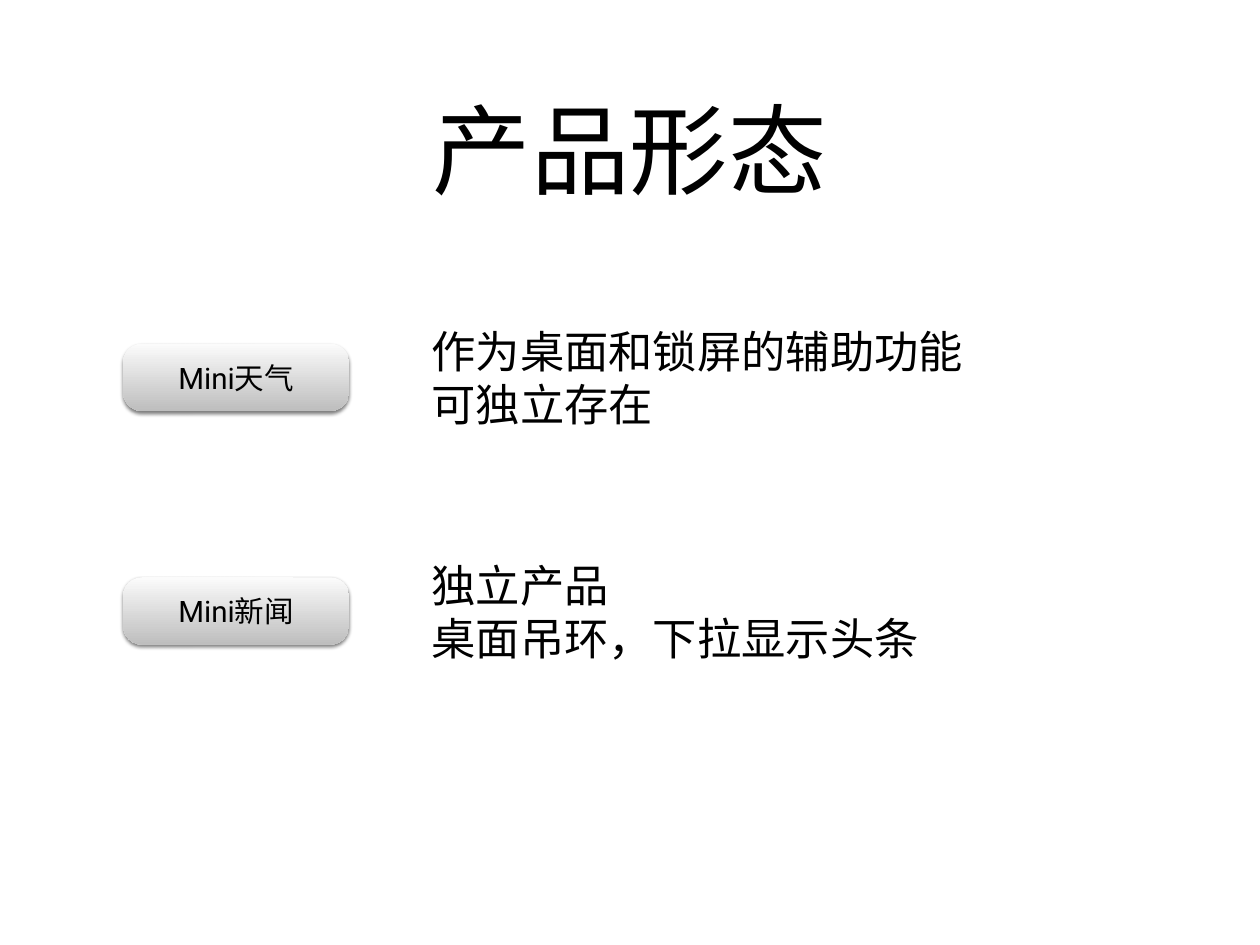
import pptx
import pptx.util
import pptx.dml.color
import pptx.enum.shapes
import pptx.enum.text
import pptx.oxml.ns
from lxml import etree
from pptx.util import Cm

# Content
TITLE = "产品形态"
PRODUCTS = [
    ("Mini天气", ["作为桌面和锁屏的辅助功能", "可独立存在"]),
    ("Mini新闻", ["独立产品", "桌面吊环，下拉显示头条"]),
]

# Style and layout, lengths in centimetres
FONT = "Roboto"
BLACK = "000000"
PILL_TOP, PILL_BOTTOM = "FBFBFB", "BEBEBE"
INSET = 0.15
FIRST_CENTRE, ROW_PITCH = 10.82, 6.7
PILL_LEFT, PILL_WIDTH, PILL_HEIGHT = 3.53, 6.48, 1.93
NOTE_LEFT, NOTE_WIDTH, NOTE_HEIGHT = 12.22, 20.78, 3.81

ALIGN = pptx.enum.text.PP_ALIGN


def colour(value):
    return pptx.dml.color.RGBColor.from_string(value)


def write(shape, lines, size, align):
    frame = shape.text_frame
    frame.word_wrap = True
    frame.vertical_anchor = pptx.enum.text.MSO_ANCHOR.MIDDLE
    frame.margin_left = frame.margin_right = Cm(INSET)
    frame.margin_top = frame.margin_bottom = Cm(INSET)
    frame.text = "\n".join(lines)
    for para in frame.paragraphs:
        para.alignment = align
        for span in para.runs:
            span.font.size = pptx.util.Pt(size)
            span.font.name = FONT
            span.font.color.rgb = colour(BLACK)
            # East Asian glyphs use the same font setting
            east_asian = etree.SubElement(
                span.font._element, pptx.oxml.ns.qn("a:ea"))
            east_asian.set("typeface", FONT)


def add_text(page, left, top, width, height, lines, size, align):
    box = page.shapes.add_textbox(Cm(left), Cm(top), Cm(width), Cm(height))
    write(box, lines, size, align)


def add_shadow(shape):
    shape.shadow.inherit = False
    effects = shape._element.spPr.find(pptx.oxml.ns.qn("a:effectLst"))
    shadow = etree.SubElement(
        effects, pptx.oxml.ns.qn("a:outerShdw"),
        blurRad=str(pptx.util.Pt(3)), dist=str(pptx.util.Pt(2)),
        dir="5400000", rotWithShape="0")
    tint = etree.SubElement(shadow, pptx.oxml.ns.qn("a:srgbClr"), val=BLACK)
    etree.SubElement(tint, pptx.oxml.ns.qn("a:alpha"), val="50000")


def add_pill(page, centre, label):
    pill = page.shapes.add_shape(
        pptx.enum.shapes.MSO_SHAPE.ROUNDED_RECTANGLE,
        Cm(PILL_LEFT), Cm(centre - PILL_HEIGHT / 2),
        Cm(PILL_WIDTH), Cm(PILL_HEIGHT))
    pill.adjustments[0] = 0.28
    pill.line.fill.background()
    pill.fill.gradient()
    pill.fill.gradient_angle = 270
    for stop, value in zip(pill.fill.gradient_stops, (PILL_TOP, PILL_BOTTOM)):
        stop.color.rgb = colour(value)
    first, last = pill.fill.gradient_stops
    first.position, last.position = 0, 1
    add_shadow(pill)
    write(pill, [label], 24, ALIGN.CENTER)


def main():
    deck = pptx.Presentation()
    deck.slide_width, deck.slide_height = Cm(36.12), Cm(27.1)
    page = deck.slides.add_slide(deck.slide_layouts[6])

    # Title
    add_text(page, 2.64, 1.24, 30.84, 5.99, [TITLE], 80, ALIGN.CENTER)

    # One row per product: pill on the left, notes on the right
    for row, (label, notes) in enumerate(PRODUCTS):
        centre = FIRST_CENTRE + row * ROW_PITCH
        add_pill(page, centre, label)
        add_text(page, NOTE_LEFT, centre - NOTE_HEIGHT / 2,
                 NOTE_WIDTH, NOTE_HEIGHT, notes, 36, ALIGN.LEFT)

    deck.save("out.pptx")


if __name__ == "__main__":
    main()
